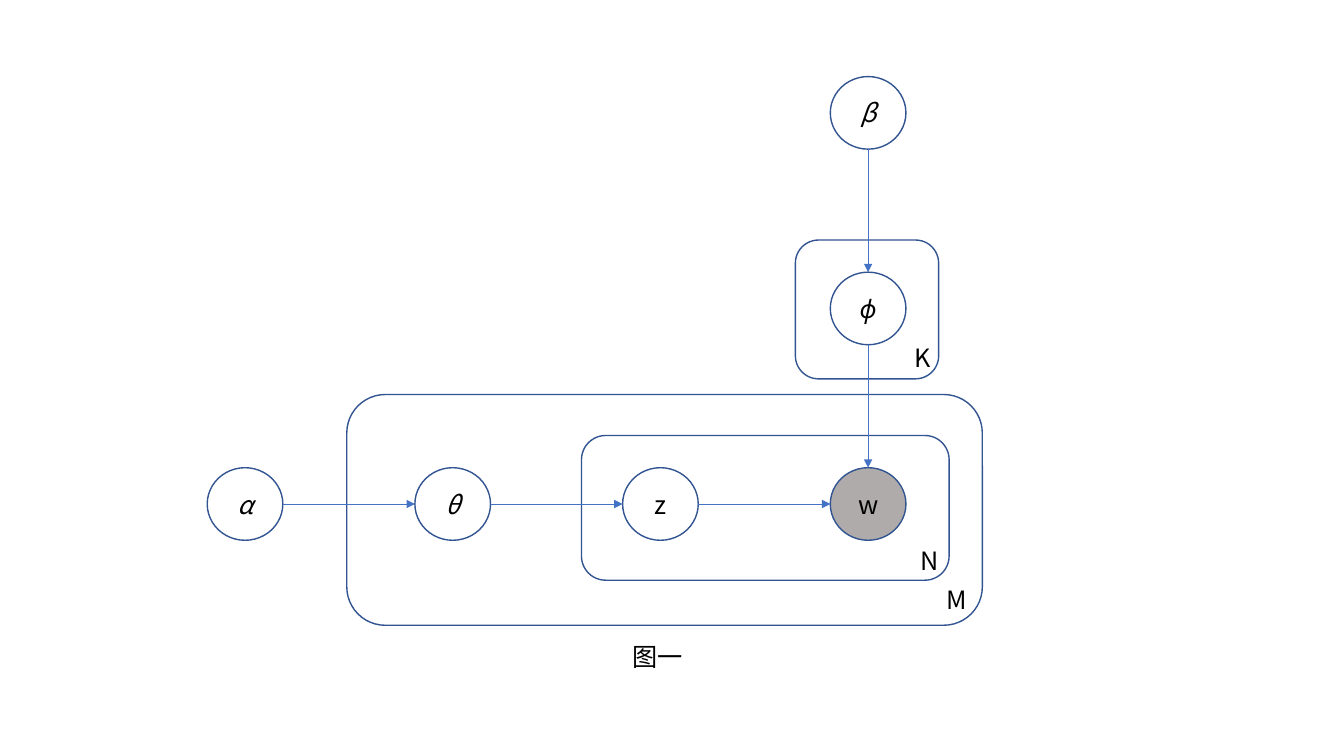
from dataclasses import dataclass

from lxml.etree import SubElement
from pptx import Presentation
from pptx.dml.color import RGBColor
from pptx.enum.shapes import MSO_CONNECTOR as Connector, MSO_SHAPE as Shape
from pptx.enum.text import MSO_ANCHOR as Anchor, MSO_AUTO_SIZE as AutoSize, PP_ALIGN as Align
from pptx.oxml.ns import qn
from pptx.util import Inches, Pt


@dataclass(frozen=True)
class Theme:
    font: str = "Noto Sans CJK SC"
    size: int = 18
    text: str = "000000"
    outline: str = "325491"
    arrow: str = "4472C4"
    observed: str = "AFABAB"
    outline_width: float = 1
    arrow_width: float = 0.5


THEME = Theme()

# Grid of node centres, in inches
FIRST_X, FIRST_Y = 2.43, 1.12
COLUMN, ROW = 2.06, 1.94
NODE_WIDTH, NODE_HEIGHT = 0.75, 0.72
LABEL_HEIGHT = 0.4

# Variable: (column, row, italic, observed)
NODES = {
    "α": (0, 2, True, False),
    "θ": (1, 2, True, False),
    "z": (2, 2, False, False),
    "w": (3, 2, False, True),
    "ϕ": (3, 1, True, False),
    "β": (3, 0, True, False),
}
DEPENDENCIES = ["αθ", "θz", "zw", "βϕ", "ϕw"]

# Left, top, right, bottom in columns and rows
PLATES = [
    (0.49, 1.44, 3.55, 2.62),
    (1.62, 1.65, 3.39, 2.39),
    (2.65, 0.65, 3.34, 1.36),
]
# Text, centre column, centre row, width in inches
LABELS = [
    ("K", 3.26, 1.25, 0.34),
    ("N", 3.3, 2.29, 0.39),
    ("M", 3.43, 2.49, 0.42),
    ("图一", 1.99, 2.78, 0.71),
]


def grid_point(column, row):
    return FIRST_X + column * COLUMN, FIRST_Y + row * ROW


def centred_box(column, row, width, height):
    x, y = grid_point(column, row)
    return [Inches(v) for v in (x - width / 2, y - height / 2, width, height)]


def style_text(paragraph, italic=False):
    for run in paragraph.runs:
        font = run.font
        font.name, font.size = THEME.font, Pt(THEME.size)
        font.color.rgb = RGBColor.from_string(THEME.text)
        if italic:
            font.italic = True
        SubElement(run._r.get_or_add_rPr(), qn("a:ea"), typeface=THEME.font)


def add_outlined(slide, kind, box, fill=None):
    outlined = slide.shapes.add_shape(kind, *box)
    outlined.shadow.inherit = False
    if fill:
        outlined.fill.solid()
        outlined.fill.fore_color.rgb = RGBColor.from_string(fill)
    else:
        outlined.fill.background()
    outlined.line.color.rgb = RGBColor.from_string(THEME.outline)
    outlined.line.width = Pt(THEME.outline_width)
    return outlined


def add_plate(slide, left, top, right, bottom):
    x1, y1 = grid_point(left, top)
    x2, y2 = grid_point(right, bottom)
    box = [Inches(v) for v in (x1, y1, x2 - x1, y2 - y1)]
    add_outlined(slide, Shape.ROUNDED_RECTANGLE, box)


def add_node(slide, variable, column, row, italic, observed):
    box = centred_box(column, row, NODE_WIDTH, NODE_HEIGHT)
    node = add_outlined(slide, Shape.OVAL, box, THEME.observed if observed else None)
    frame = node.text_frame
    frame.text = variable
    frame.vertical_anchor = Anchor.MIDDLE
    frame.paragraphs[0].alignment = Align.CENTER
    style_text(frame.paragraphs[0], italic)


def add_dependency(slide, parent, child):
    (column1, row1), (column2, row2) = NODES[parent][:2], NODES[child][:2]
    x1, y1 = grid_point(column1, row1)
    x2, y2 = grid_point(column2, row2)
    # Trim both ends to the node edges
    if row1 == row2:
        x1, x2 = x1 + NODE_WIDTH / 2, x2 - NODE_WIDTH / 2
    else:
        y1, y2 = y1 + NODE_HEIGHT / 2, y2 - NODE_HEIGHT / 2
    ends = [Inches(v) for v in (x1, y1, x2, y2)]
    arrow = slide.shapes.add_connector(Connector.STRAIGHT, *ends)
    arrow.line.color.rgb = RGBColor.from_string(THEME.arrow)
    arrow.line.width = Pt(THEME.arrow_width)
    SubElement(arrow.line._get_or_add_ln(), qn("a:tailEnd"), type="triangle")
    SubElement(arrow._element.spPr, qn("a:effectLst"))


def add_label(slide, text, column, row, width):
    label = slide.shapes.add_textbox(*centred_box(column, row, width, LABEL_HEIGHT))
    frame = label.text_frame
    frame.text = text
    frame.word_wrap = False
    frame.auto_size = AutoSize.SHAPE_TO_FIT_TEXT
    style_text(frame.paragraphs[0])


def main():
    deck = Presentation()
    deck.slide_width, deck.slide_height = Inches(13.33), Inches(7.5)
    slide = deck.slides.add_slide(deck.slide_layouts[6])

    # Repetition plates
    for plate in PLATES:
        add_plate(slide, *plate)

    # Variables and the arrows between them
    for variable, details in NODES.items():
        add_node(slide, variable, *details)
    for parent, child in DEPENDENCIES:
        add_dependency(slide, parent, child)

    # Plate labels and caption
    for label in LABELS:
        add_label(slide, *label)

    deck.save("out.pptx")


main()
